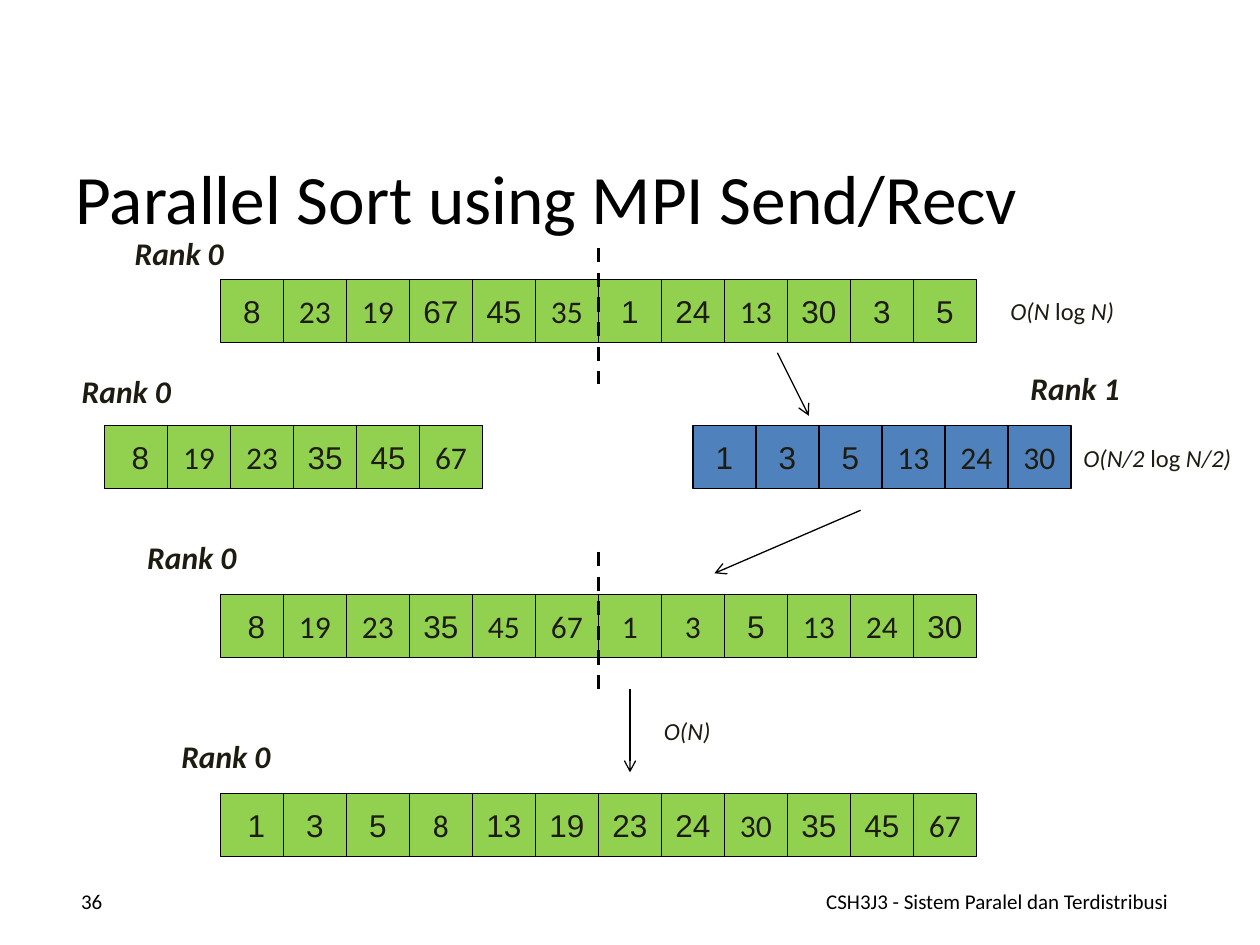
from lxml import etree
from pptx import Presentation
from pptx.dml.color import RGBColor
from pptx.enum.dml import MSO_LINE
from pptx.enum.shapes import MSO_CONNECTOR, MSO_SHAPE
from pptx.enum.text import MSO_ANCHOR, MSO_AUTO_SIZE, PP_ALIGN
from pptx.oxml.ns import qn
from pptx.util import Inches, Pt

RECT = MSO_SHAPE.RECTANGLE
STRAIGHT = MSO_CONNECTOR.STRAIGHT
DASH = MSO_LINE.DASH
MIDDLE = MSO_ANCHOR.MIDDLE
LEFT, CENTER, RIGHT = PP_ALIGN.LEFT, PP_ALIGN.CENTER, PP_ALIGN.RIGHT
FIT_SHAPE = MSO_AUTO_SIZE.SHAPE_TO_FIT_TEXT

COLORS = {
    "black": "000000",
    "ink": "1E1C11",
    "rank0": "92D050",
    "rank1": "4F81BD",
}
FONTS = {"A": "Arial", "C": "Calibri"}
CELL = 0.5
FULL_LEFT = 1.75

ARRAYS = [
    (FULL_LEFT, 2.22, "rank0", "8 23 19 67 45 35 1 24 13 30 3 5", "ACCAACAACAAA"),
    (0.83, 3.38, "rank0", "8 19 23 35 45 67", "ACCAAC"),
    (5.5, 3.38, "rank1", "1 3 5 13 24 30", "AAACCC"),
    (FULL_LEFT, 4.72, "rank0", "8 19 23 35 45 67 1 3 5 13 24 30", "ACCACCCCACCA"),
    (FULL_LEFT, 6.3, "rank0", "1 3 5 8 13 19 23 24 30 35 45 67", "AAACAAAACAAC"),
]
INDENTED_FIRST = {(0.83, 3.38), (FULL_LEFT, 4.72), (FULL_LEFT, 6.3)}

RANK_LABELS = [
    (0.97, 1.81, "Rank 0"),
    (0.55, 2.9, "Rank 0"),
    (8.08, 2.88, "Rank 1"),
    (1.07, 4.22, "Rank 0"),
    (1.34, 5.8, "Rank 0"),
]
COSTS = [
    (7.92, 2.3, 1.03, ["O(N ", "log", " N)"]),
    (8.5, 3.47, 1.43, ["O(N/2 ", "log", " N/2)"]),
    (5.17, 5.63, 0.62, ["O(N)"]),
]
SPLITS = [(4.75, 1.97, 4.75, 3.05), (4.75, 4.38, 4.75, 5.47)]
ARROWS = [
    (6.17, 2.8, 6.42, 3.3),
    (6.83, 4.05, 5.67, 4.55),
    (5, 5.47, 5, 6.13),
]


class SlideBuilder:
    def __init__(self, prs):
        self.s = prs.slides.add_slide(prs.slide_layouts[5])

    def color(self, name):
        return RGBColor.from_string(COLORS[name])

    def style(self, r, size, color="ink", font="Calibri", bold=False, italic=False):
        r.font.name = font
        r.font.size = Pt(size)
        r.font.bold = bold
        r.font.italic = italic
        r.font.color.rgb = self.color(color)

    def title(self, text, left, top, width, height):
        sp = self.s.shapes.title
        sp.left, sp.top = Inches(left), Inches(top)
        sp.width, sp.height = Inches(width), Inches(height)
        tf = sp.text_frame
        tf.text = text
        tf.vertical_anchor = MIDDLE
        p = tf.paragraphs[0]
        p.alignment = LEFT
        self.style(p.runs[0], 39.6, "black")

    def textbox(self, left, top, width, height):
        sp = self.s.shapes.add_textbox(
            Inches(left), Inches(top), Inches(width), Inches(height))
        return sp.text_frame

    def footer(self, text, left, top, width, height, align):
        tf = self.textbox(left, top, width, height)
        tf.word_wrap = True
        tf.vertical_anchor = MIDDLE
        tf.text = text
        p = tf.paragraphs[0]
        p.alignment = align
        self.style(p.runs[0], 12, "black")

    def label(self, left, top, width, height, parts, size, bold=False):
        tf = self.textbox(left, top, width, height)
        tf.word_wrap = False
        tf.auto_size = FIT_SHAPE
        for part in parts:
            r = tf.paragraphs[0].add_run()
            r.text = part
            self.style(r, size, bold=bold, italic=part != "log")

    def cell(self, left, top, fill, text, font):
        sp = self.s.shapes.add_shape(
            RECT, Inches(left), Inches(top), Inches(CELL), Inches(CELL))
        sp.shadow.inherit = False
        sp.fill.solid()
        sp.fill.fore_color.rgb = self.color(fill)
        sp.line.color.rgb = self.color("black")
        sp.line.width = Pt(0.75)
        tf = sp.text_frame
        tf.text = text
        tf.vertical_anchor = MIDDLE
        p = tf.paragraphs[0]
        p.alignment = CENTER
        self.style(p.runs[0], 18, font=font)

    def array(self, left, top, fill, values, fonts):
        for i, (value, code) in enumerate(zip(values.split(), fonts)):
            indented = i == 0 and (left, top) in INDENTED_FIRST
            text = " " + value if indented else value
            self.cell(left + i * CELL, top, fill, text, FONTS[code])

    def line(self, x1, y1, x2, y2, width=0.75, dash=None, arrow=False):
        sp = self.s.shapes.add_connector(
            STRAIGHT, Inches(x1), Inches(y1), Inches(x2), Inches(y2))
        sp.line.color.rgb = self.color("black")
        sp.line.width = Pt(width)
        if dash:
            sp.line.dash_style = dash
        if arrow:
            ln = sp.line._get_or_add_ln()
            etree.SubElement(ln, qn("a:tailEnd"), type="arrow")
        etree.SubElement(sp._element.spPr, qn("a:effectLst"))


def main():
    prs = Presentation()
    prs.slide_width, prs.slide_height = Inches(10), Inches(7.5)
    slide = SlideBuilder(prs)
    slide.title("Parallel Sort using MPI Send/Recv", 0.5, 1.25, 9, 0.63)
    slide.footer("CSH3J3 - Sistem Paralel dan Terdistribusi",
                 6.33, 6.95, 3.17, 0.4, CENTER)
    slide.footer("36", 0.33, 6.95, 0.58, 0.4, RIGHT)
    for array in ARRAYS:
        slide.array(*array)
    for split in SPLITS:
        slide.line(*split, width=2, dash=DASH)
    for arrow in ARROWS:
        slide.line(*arrow, arrow=True)
    for left, top, text in RANK_LABELS:
        slide.label(left, top, 0.92, 0.4, [text], 18, bold=True)
    for left, top, width, parts in COSTS:
        slide.label(left, top, width, 0.34, parts, 14)
    prs.save("out.pptx")


if __name__ == "__main__":
    main()
